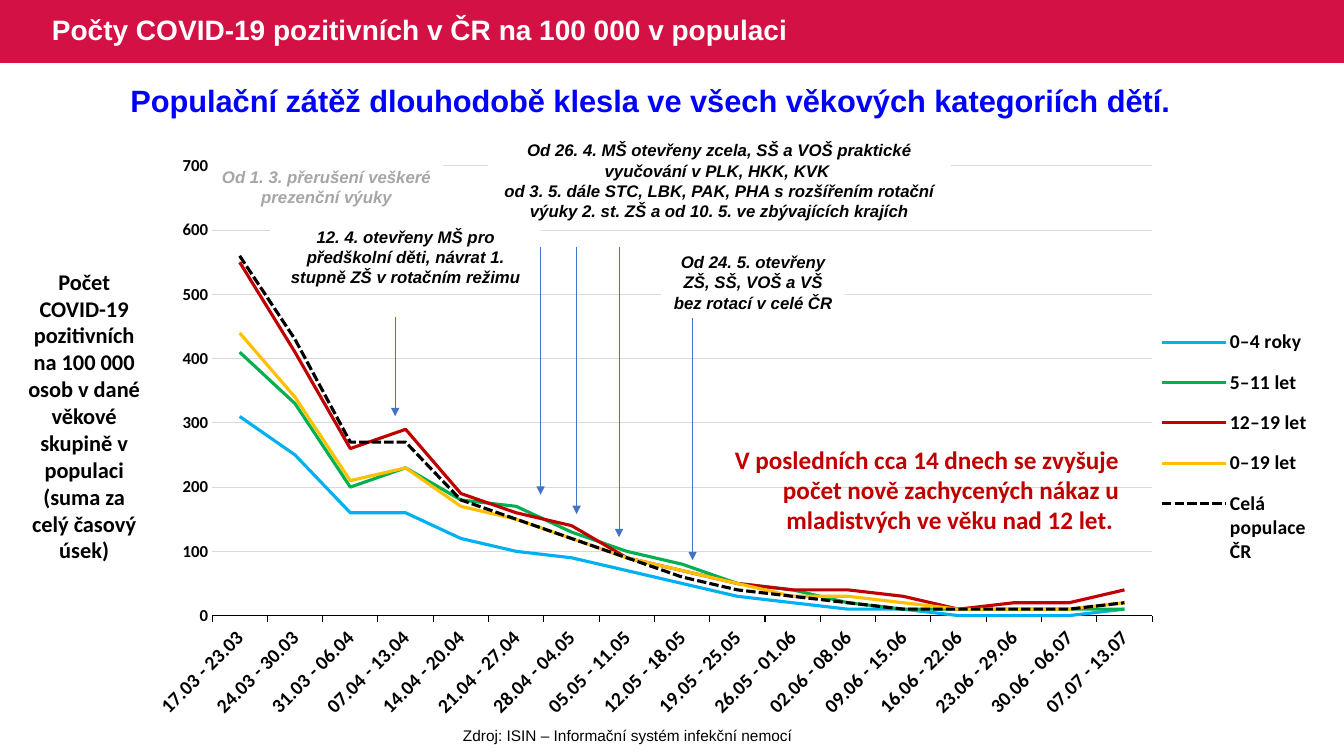
from dataclasses import dataclass

from pptx import Presentation
from pptx import util as u
from pptx.chart.data import CategoryChartData
from pptx.dml.color import RGBColor
from pptx.enum import chart as charts, dml, shapes, text
from pptx.oxml import parse_xml
from pptx.oxml.ns import nsdecls, qn

CELL = u.Inches(7.5 / 18)  # the slide is a grid of 32 columns by 18 rows


@dataclass(frozen=True)
class Theme:
    heading: str = "Arial"
    body: str = "Calibri"
    band: str = "D31145"
    white: str = "FFFFFF"
    black: str = "000000"
    blue: str = "0000FF"
    red: str = "C00000"
    muted: str = "A6A6A6"
    grid: str = "D9D9D9"
    arrow: str = "4472C4"
    title_size: float = 20
    headline_size: float = 22
    warning_size: float = 18
    label_size: float = 16
    chart_size: float = 14
    note_size: float = 12
    source_size: float = 11


@dataclass(frozen=True)
class Box:
    left: float
    top: float
    width: float
    height: float

    def inside(self, left, top, width, height):
        return Box(self.left + left, self.top + top, width, height)

    def lengths(self):
        return [round(n * CELL) for n in (self.left, self.top, self.width, self.height)]


THEME = Theme()
PERIODS = [
    "17.03 - 23.03", "24.03 - 30.03", "31.03 - 06.04", "07.04 - 13.04", "14.04 - 20.04",
    "21.04 - 27.04", "28.04 - 04.05", "05.05 - 11.05", "12.05 - 18.05", "19.05 - 25.05",
    "26.05 - 01.06", "02.06 - 08.06", "09.06 - 15.06", "16.06 - 22.06", "23.06 - 29.06",
    "30.06 - 06.07", "07.07 - 13.07"]
AGE_GROUPS = [
    ("0–4 roky", "00B0F0",
     (310, 250, 160, 160, 120, 100, 90, 70, 50, 30, 20, 10, 10, 0, 0, 0, 10)),
    ("5–11 let", "00B050",
     (410, 330, 200, 230, 180, 170, 130, 100, 80, 50, 40, 20, 10, 10, 10, 10, 10)),
    ("12–19 let", "C00000",
     (550, 410, 260, 290, 190, 160, 140, 90, 70, 50, 40, 40, 30, 10, 20, 20, 40)),
    ("0–19 let", "FFC000",
     (440, 340, 210, 230, 170, 150, 120, 90, 70, 50, 30, 30, 20, 10, 10, 10, 20)),
    ("Celá populace ČR", "000000",
     (560, 430, 270, 270, 180, 150, 120, 90, 60, 40, 30, 20, 10, 10, 10, 10, 20)),
]
# Wording, colour and place inside the chart region
NOTES = [
    ("Od 1. 3. přerušení veškeré prezenční výuky", THEME.muted, (1.34, 0.19, 5.57, 1.2)),
    ("12. 4. otevřeny MŠ pro předškolní děti, návrat 1. stupně ZŠ v rotačním režimu",
     THEME.black, (2.78, 1.61, 6.46, 1.7)),
    ("Od 26. 4. MŠ otevřeny zcela, SŠ a VOŠ praktické vyučování v PLK, HKK, KVK \v"
     "od 3. 5. dále STC, LBK, PAK, PHA s rozšířením rotační výuky 2. st. ZŠ "
     "a od 10. 5. ve zbývajících krajích", THEME.black, (7.97, -0.45, 11.02, 2.18)),
    ("Od 24. 5. otevřeny ZŠ, SŠ, VOŠ a VŠ bez rotací v celé ČR",
     THEME.black, (12.09, 2.21, 4.39, 1.7)),
]
# Column, first row and last row inside the chart region
ARROWS = [(5.76, 3.87, 6.24), (9.22, 2.21, 8.11), (10.08, 2.21, 8.57),
          (11.09, 2.21, 9.12), (12.84, 3.91, 9.67)]


def color(value):
    return RGBColor.from_string(value)


def style_font(font, name, size, value, italic=None):
    font.name, font.size, font.bold, font.italic = name, u.Pt(size), True, italic
    font.color.rgb = color(value)


def style_line(line, value, width):
    line.color.rgb = color(value)
    line.width = u.Pt(width)


def add_panel(slide, box, fill):
    panel = slide.shapes.add_shape(shapes.MSO_SHAPE.RECTANGLE, *box.lengths())
    panel.shadow.inherit = False
    panel.fill.solid()
    panel.fill.fore_color.rgb = color(fill)
    panel.line.fill.background()
    return panel


def write(shape, wording, font, size, value, align=text.PP_ALIGN.CENTER,
          anchor=text.MSO_ANCHOR.TOP, italic=None, bold=True):
    frame = shape.text_frame
    frame.word_wrap = True
    frame.vertical_anchor = anchor
    frame.text = wording
    paragraph = frame.paragraphs[0]
    paragraph.alignment = align
    for run in paragraph.runs:
        style_font(run.font, font, size, value, italic)
        run.font.bold = bold
    return paragraph


def add_text(slide, box, *style, **options):
    return write(slide.shapes.add_textbox(*box.lengths()), *style, **options)


def add_header(slide, box):
    add_panel(slide, box, THEME.band)
    title = add_text(slide, box.inside(1, 0, 20.1, box.height),
                     "Počty COVID-19 pozitivních v ČR na 100 000 v populaci",
                     THEME.heading, THEME.title_size, THEME.white,
                     align=text.PP_ALIGN.LEFT, anchor=text.MSO_ANCHOR.MIDDLE)
    title.line_spacing = 0.9


def place_manually(element, left, top, width, height, inner=False):
    target = '<c:layoutTarget val="inner"/>' if inner else ""
    sizes = "".join(f'<c:{tag} val="{share}"/>' for tag, share in
                    zip("xywh", (left, top, width, height)))
    layout = parse_xml(
        f'<c:layout {nsdecls("c")}><c:manualLayout>{target}<c:xMode val="edge"/>'
        f'<c:yMode val="edge"/>{sizes}</c:manualLayout></c:layout>')
    for old in element.findall(qn("c:layout")):
        element.remove(old)
    before = element.find(qn("c:legendPos"))
    if before is None:
        element.insert(0, layout)
    else:
        before.addnext(layout)


def add_line_chart(slide, box):
    data = CategoryChartData()
    data.categories = PERIODS
    for name, _, values in AGE_GROUPS:
        data.add_series(name, values)
    chart = slide.shapes.add_chart(charts.XL_CHART_TYPE.LINE, *box.lengths(), data).chart
    chart.has_title = False
    style_font(chart.font, THEME.body, THEME.chart_size, THEME.black)
    plot = chart.plots[0]
    plot.vary_by_categories = False
    for series, (_, value, _) in zip(plot.series, AGE_GROUPS):
        series.smooth = False
        series.marker.style = charts.XL_MARKER_STYLE.NONE
        style_line(series.format.line, value, 2.25)
    plot.series[-1].format.line.dash_style = dml.MSO_LINE.SQUARE_DOT

    # Axes
    periods, counts = chart.category_axis, chart.value_axis
    style_font(periods.tick_labels.font, THEME.body, THEME.chart_size, THEME.black)
    style_line(periods.format.line, THEME.black, 0.75)
    periods.major_tick_mark = charts.XL_TICK_MARK.OUTSIDE
    turned = periods._element.find(qn("c:txPr")).find(qn("a:bodyPr"))
    turned.set("rot", "-2700000")
    turned.set("vert", "horz")
    style_font(counts.tick_labels.font, THEME.body, THEME.note_size, THEME.black)
    counts.minimum_scale, counts.maximum_scale, counts.major_unit = 0, 700, 100
    counts.major_tick_mark = charts.XL_TICK_MARK.NONE
    counts.format.line.fill.background()
    style_line(counts.major_gridlines.format.line, THEME.grid, 0.75)

    # Legend and plot area
    chart.has_legend = True
    chart.legend.position = charts.XL_LEGEND_POSITION.RIGHT
    chart.legend.include_in_layout = False
    style_font(chart.legend.font, THEME.body, THEME.chart_size, THEME.black)
    place_manually(chart.legend._element, 0.85, 0.27, 0.14, 0.45)
    place_manually(plot._element.getparent(), 0.05, 0.02, 0.8, 0.76, inner=True)


def add_annotations(slide, box):
    for wording, value, place in NOTES:
        panel = add_panel(slide, box.inside(*place), THEME.white)
        write(panel, wording, THEME.heading, THEME.note_size, value, italic=True)
    for column, first, last in ARROWS:
        left, top, _, height = box.inside(column, first, 0, last - first).lengths()
        arrow = slide.shapes.add_connector(
            shapes.MSO_CONNECTOR.STRAIGHT, left, top, left, top + height)
        style_line(arrow.line, THEME.arrow, 0.5)
        arrow.get_or_add_ln().append(
            parse_xml(f'<a:tailEnd {nsdecls("a")} type="triangle"/>'))
        arrow._element.spPr.append(parse_xml(f'<a:effectLst {nsdecls("a")}/>'))
    add_text(slide, box.inside(13.1, 6.79, 10.13, 3.14),
             "V posledních cca 14 dnech se zvyšuje počet nově zachycených nákaz "
             "u mladistvých ve věku nad 12 let. ",
             THEME.body, THEME.warning_size, THEME.red, align=text.PP_ALIGN.RIGHT)


def main():
    presentation = Presentation()
    presentation.slide_width, presentation.slide_height = 32 * CELL, 18 * CELL
    slide = presentation.slides.add_slide(presentation.slide_layouts[6])
    chart_box = Box(3.65, 3.67, 27.98, 14.09)
    add_header(slide, Box(0, 0, 32, 1.5))
    add_text(slide, Box(5.66, 17.18, 18.58, 0.7),
             "Zdroj: ISIN – Informační systém infekční nemocí",
             THEME.heading, THEME.source_size, THEME.black, bold=False)
    add_line_chart(slide, chart_box)
    add_text(slide, Box(0.36, 6.26, 3.29, 7.34),
             "Počet COVID-19 pozitivních na 100 000 osob v dané věkové skupině "
             "v populaci (suma za celý časový úsek)",
             THEME.body, THEME.label_size, THEME.black)
    add_text(slide, Box(0.7, 1.82, 29.78, 1.13),
             "Populační zátěž dlouhodobě klesla ve všech věkových kategoriích dětí. ",
             THEME.heading, THEME.headline_size, THEME.blue)
    add_annotations(slide, chart_box)
    presentation.save("out.pptx")


if __name__ == "__main__":
    main()
